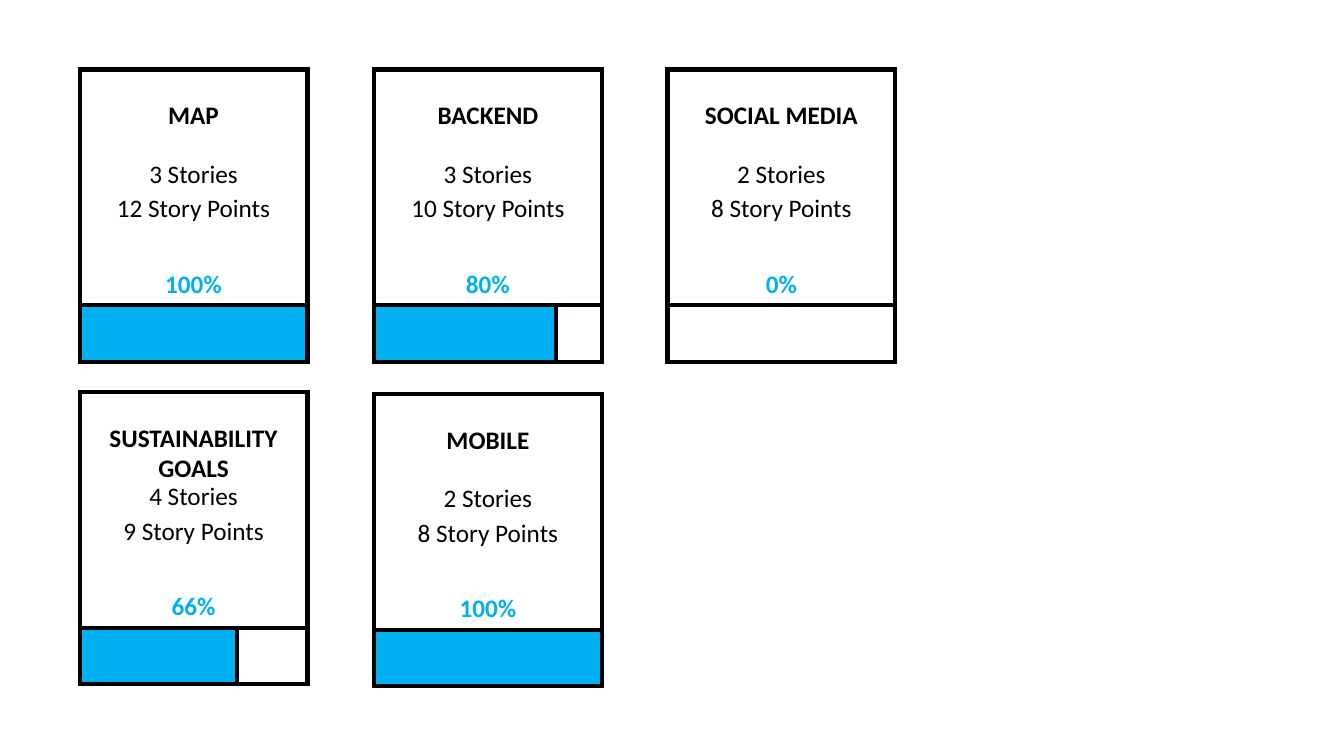
from lxml.etree import SubElement
from pptx import Presentation
from pptx.dml.color import RGBColor
from pptx.enum.shapes import MSO_SHAPE as Shape
from pptx.enum.text import MSO_AUTO_SIZE as Fit, PP_ALIGN as Align
from pptx.oxml.ns import qn
from pptx.util import Inches, Pt

COLORS = {"ink": "000000", "paper": "FFFFFF", "done": "00B0F0"}
FONT = {"name": "Calibri", "size": Pt(18)}

COLS = (0.79, 3.71, 6.62)
WIDTH, HEIGHT, BAR = 2.26, 2.9, 0.56

# Column, top, title, stories, points, label, filled share of the bar
EPICS = [
    (0, 0.69, "MAP", 3, 12, "100%", 1),
    (1, 0.69, "BACKEND", 3, 10, "80%", 0.8),
    (0, 3.89, "SUSTAINABILITY GOALS", 4, 9, "66%", 0.69),
    (1, 3.91, "MOBILE", 2, 8, "100%", 1),
    (2, 0.69, "SOCIAL MEDIA", 2, 8, "0%", 0),
]


def color(name):
    """Return a named colour."""
    return RGBColor.from_string(COLORS[name])


def add_box(group, x, y, width, height, fill=None):
    """Add a sharp-cornered rectangle, filled if a colour is named."""
    box = group.shapes.add_shape(
        Shape.RECTANGLE, Inches(x), Inches(y), Inches(width), Inches(height))
    box.shadow.inherit = False
    if fill:
        box.fill.solid()
        box.fill.fore_color.rgb = color(fill)
    else:
        box.fill.background()
    box.line.color.rgb = color("ink")
    box.line.width = Pt(3)
    line = box.element.spPr.find(qn("a:ln"))
    SubElement(line, qn("a:miter")).set("lim", "800000")


def add_label(group, text, x, y, height=0.4, ink="ink", bold=False):
    """Add a centred label as wide as a card."""
    label = group.shapes.add_textbox(
        Inches(x), Inches(y), Inches(WIDTH), Inches(height))
    frame = label.text_frame
    frame.word_wrap = True
    frame.auto_size = Fit.SHAPE_TO_FIT_TEXT
    para = frame.paragraphs[0]
    para.alignment = Align.CENTER
    run = para.add_run()
    run.text = text
    for key, value in {**FONT, "bold": bold}.items():
        setattr(run.font, key, value)
    run.font.color.rgb = color(ink)


def add_card(slide, col, y, title, stories, points, label, share):
    """Add one epic: its title, counts and progress bar."""
    group = slide.shapes.add_group_shape()
    x, bar_y = COLS[col], y + HEIGHT - BAR
    add_box(group, x, y, WIDTH, HEIGHT, "paper")
    add_label(group, title, x, y + 0.25,
              height=0.71 if len(title) > 15 else 0.4, bold=True)
    add_label(group, f"{stories} Stories", x, y + 0.83)
    add_label(group, f"{points} Story Points", x, y + 1.17)
    if share < 1:
        add_box(group, x, bar_y, WIDTH, BAR)
    if share:
        add_box(group, x, bar_y, WIDTH * share, BAR, "done")
    add_label(group, label, x, y + 1.92, ink="done", bold=True)


def main():
    """Build the slide of epic cards."""
    deck = Presentation()
    deck.slide_width, deck.slide_height = Inches(13.33), Inches(7.5)
    slide = deck.slides.add_slide(deck.slide_layouts[6])
    for epic in EPICS:
        add_card(slide, *epic)
    deck.save("out.pptx")


main()
